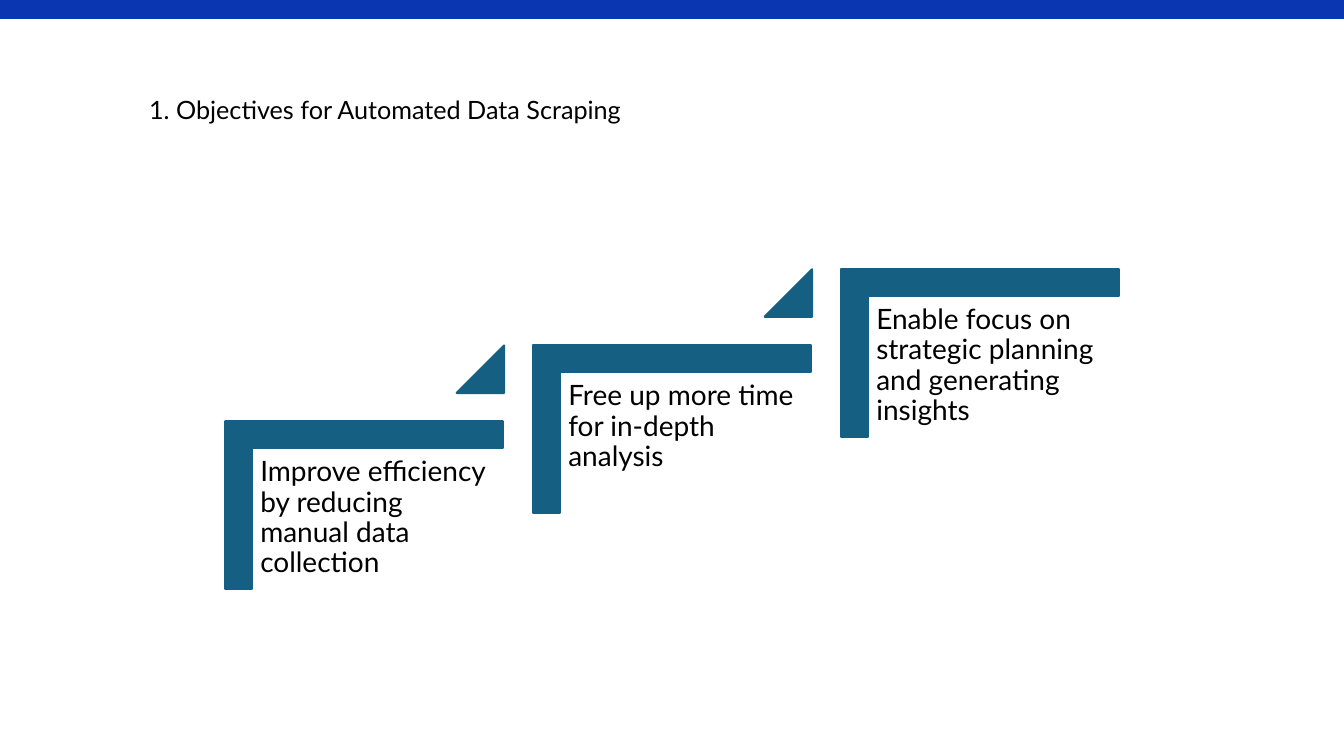
from pptx import Presentation
from pptx.dml.color import RGBColor
from pptx.enum.shapes import MSO_SHAPE
from pptx.enum.text import MSO_ANCHOR, MSO_AUTO_SIZE, PP_ALIGN
from pptx.util import Pt

TITLE = "1. Objectives for Automated Data Scraping"
OBJECTIVES = [
    "Improve efficiency by reducing manual data collection",
    "Free up more time for in-depth analysis",
    "Enable focus on strategic planning and generating insights",
]
COLORS = {"band": "0A36B2", "step": "156082", "text": "000000"}
FONT = "Lato"

# Boxes are left, top, width, height in points; step boxes belong to the first step
SLIDE_WIDTH, SLIDE_HEIGHT = 960, 540
BAND_BOX = (0, 0, SLIDE_WIDTH, 13.5)
TITLE_BOX = (99.4, 64.1, 474.5, 29)
BRACKET_BOX = (200.2, 261.4, 119.6, 198.9)
LABEL_BOX = (179.9, 321, 179.8, 157.6)
TRIANGLE_BOX = (326.2, 246.8, 33.9, 33.9)
STEP_RIGHT, STEP_UP = 220, 54.4


def add_filled_shape(slide, kind, box, color, line_width=0, adjustments=(), rotation=0):
    shape = slide.shapes.add_shape(kind, *map(Pt, box))
    shape.shadow.inherit = False
    shape.rotation = rotation
    for index, value in enumerate(adjustments):
        shape.adjustments[index] = value
    shape.fill.solid()
    shape.fill.fore_color.rgb = RGBColor.from_string(COLORS[color])
    if line_width:
        shape.line.color.rgb = RGBColor.from_string(COLORS[color])
        shape.line.width = Pt(line_width)
    else:
        shape.line.fill.background()


def add_text(slide, box, text, size, frame_format, paragraph_format):
    frame = slide.shapes.add_textbox(*map(Pt, box)).text_frame
    paragraph = frame.paragraphs[0]
    for target, values in (
        (frame, {"word_wrap": True, "vertical_anchor": MSO_ANCHOR.TOP, **frame_format}),
        (paragraph, {"alignment": PP_ALIGN.LEFT, **paragraph_format}),
    ):
        for name, value in values.items():
            setattr(target, name, value)
    run = paragraph.add_run()
    run.text = text
    for name, value in {"name": FONT, "size": Pt(size)}.items():
        setattr(run.font, name, value)
    run.font.color.rgb = RGBColor.from_string(COLORS["text"])


def add_steps(slide):
    sides = ("left", "top", "right", "bottom")
    label_frame = {f"margin_{side}": Pt(6) for side in sides}
    label_paragraph = {"line_spacing": 0.9, "space_after": Pt(7)}
    for index, objective in enumerate(OBJECTIVES):
        bracket, label, triangle = (
            (left + index * STEP_RIGHT, top - index * STEP_UP, width, height)
            for left, top, width, height in (BRACKET_BOX, LABEL_BOX, TRIANGLE_BOX)
        )
        add_filled_shape(slide, MSO_SHAPE.CORNER, bracket, "step", 1.5, (0.16, 0.16), 90)
        add_text(slide, label, objective, 20, label_frame, label_paragraph)
        if index < len(OBJECTIVES) - 1:
            add_filled_shape(slide, MSO_SHAPE.ISOSCELES_TRIANGLE, triangle, "step", 1.5, (1,))


def main():
    presentation = Presentation()
    presentation.slide_width = Pt(SLIDE_WIDTH)
    presentation.slide_height = Pt(SLIDE_HEIGHT)
    slide = presentation.slides.add_slide(presentation.slide_layouts[6])
    add_text(slide, TITLE_BOX, TITLE, 18, {"auto_size": MSO_AUTO_SIZE.SHAPE_TO_FIT_TEXT}, {})
    add_filled_shape(slide, MSO_SHAPE.RECTANGLE, BAND_BOX, "band")
    add_steps(slide)
    presentation.save("out.pptx")


if __name__ == "__main__":
    main()
